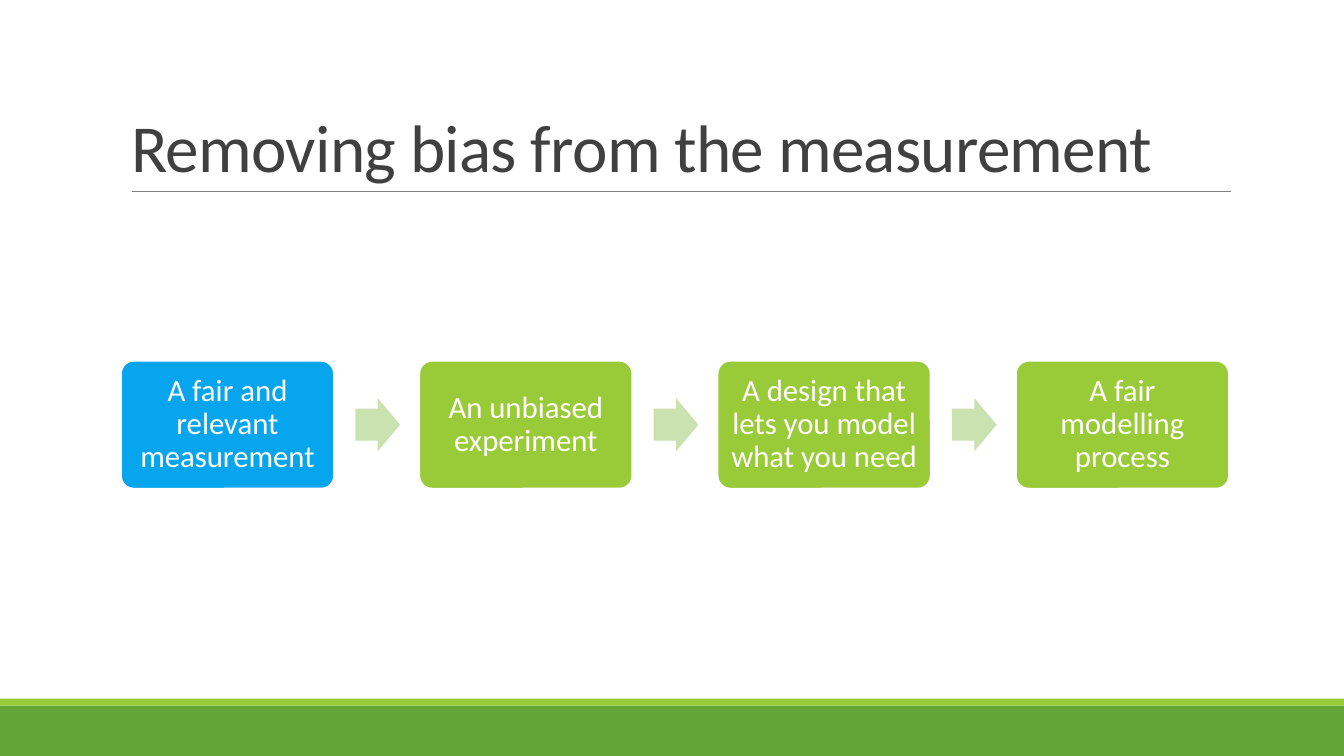
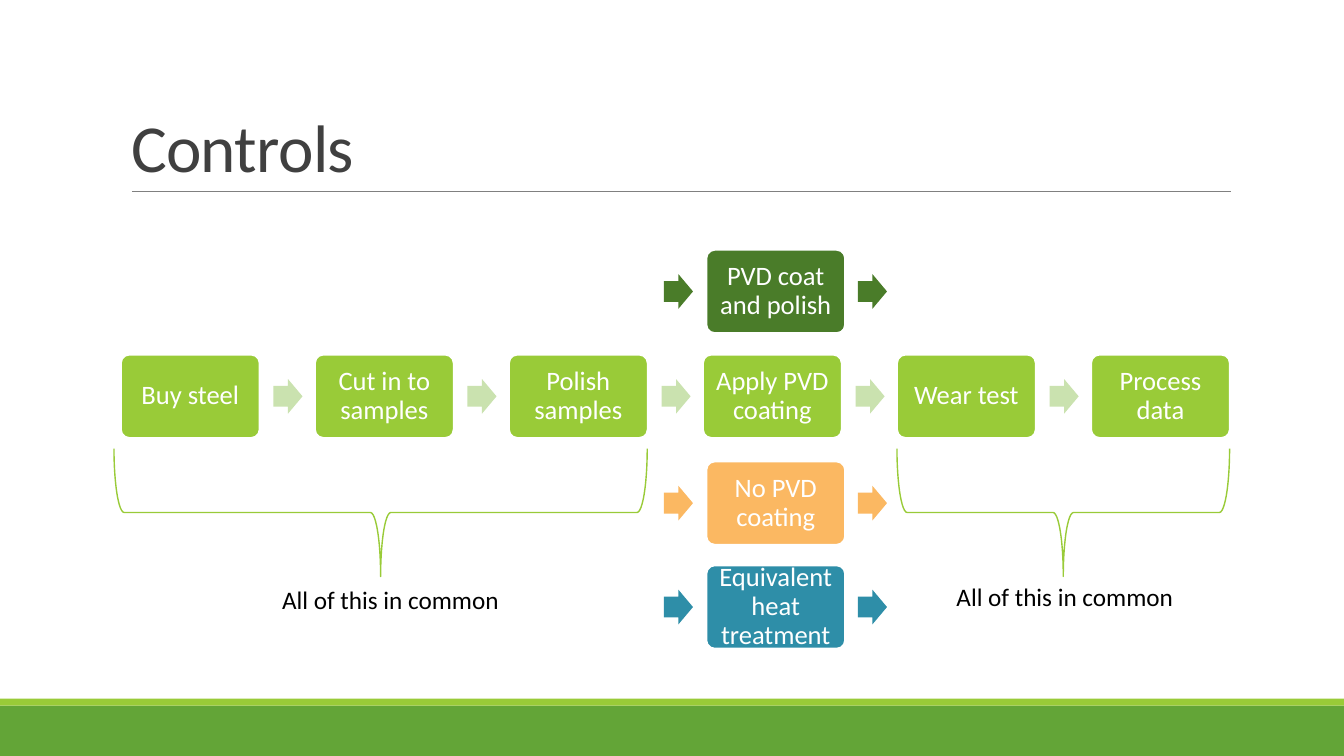
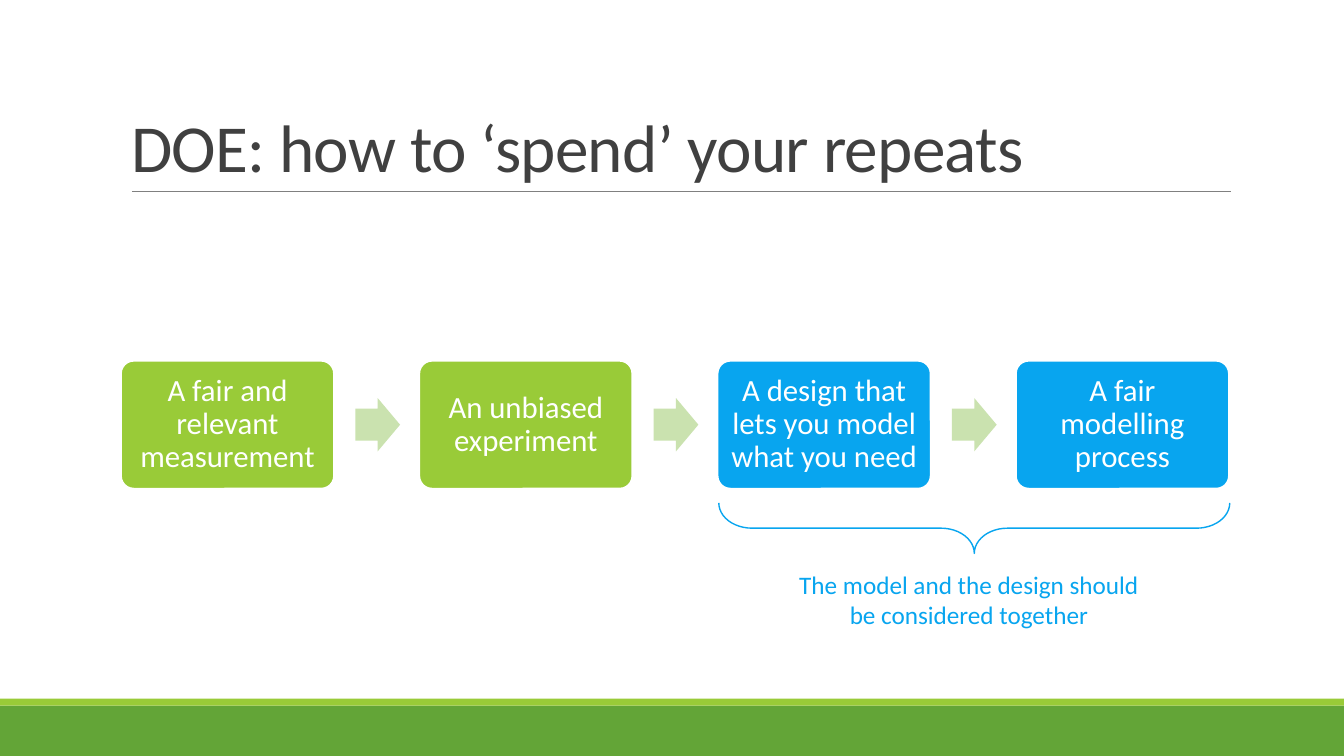
"""Build three slides on bias, controls and repeats in experiments."""
from lxml.etree import SubElement
from pptx import Presentation
from pptx.dml.color import RGBColor
from pptx.enum.shapes import MSO_CONNECTOR, MSO_SHAPE
from pptx.enum.text import MSO_ANCHOR, MSO_AUTO_SIZE, PP_ALIGN
from pptx.oxml.ns import qn
from pptx.util import Pt

FONT = "Calibri"
COLORS = {
    "band": "63A537", "green": "99CB38", "pale": "CAE2AF", "blue": "08A5EF",
    "dark": "4A7C29", "orange": "FBB862", "teal": "2E8EA8", "title": "404040",
    "rule": "808080", "white": "FFFFFF", "black": "000000",
}
LEFT, CENTER = PP_ALIGN.LEFT, PP_ALIGN.CENTER
FLOW_LEFT = 86.4
PITCH, HEIGHT, ARROW_START, ARROW_WIDTH, ARROW_HEIGHT = 1.4, 0.6, 1.1, 0.21, 0.25

STAGES = ["A fair and relevant measurement", "An unbiased experiment",
          "A design that lets you model what you need", "A fair modelling process"]
STEPS = ["Buy steel", "Cut in to samples", "Polish samples",
         "Apply PVD coating", "Wear test", "Process data"]
STAGE_STYLE = {"middle": 303.4, "width": 152.2, "size": 22}
STEP_STYLE = {"middle": 283.1, "width": 99, "size": 19}
VARIANT_LEFT, VARIANT_ARROW_LEFT = 504.6, 474.2
COMMON = [("All of this in common", LEFT)]

SLIDES = [
    {"title": "Removing bias from the measurement",
     "flow": STAGES, "style": STAGE_STYLE, "highlighted": [0]},
    {"title": "Controls", "flow": STEPS, "style": STEP_STYLE,
     "variants": [("PVD coat and polish", "dark", 208.2),
                  ("No PVD coating", "orange", 359.4),
                  ("Equivalent heat treatment", "teal", 433.6)],
     "braces": [((81.4, 320.4, 380.9, 91.4), 0.08, "green"),
                ((640.7, 320.4, 237.6, 91.4), 0.08, "green")],
     "labels": [((194.4, 414, 171.4, 28.8), COMMON, "black"),
                ((676.1, 411.8, 171.4, 28.8), COMMON, "black")]},
    {"title": "DOE: how to ‘spend’ your repeats",
     "flow": STAGES, "style": STAGE_STYLE, "highlighted": [2, 3],
     "braces": [((513.4, 359.3, 365, 36), 0.66, "blue")],
     "labels": [((563.8, 403.2, 264.2, 51.1),
                 [("The model and the design should", LEFT),
                  ("be considered together", CENTER)], "blue")]},
]


def color(name):
    return RGBColor.from_string(COLORS[name])


def add_run(paragraph, text, size, color_name):
    run = paragraph.add_run()
    run.text = text
    run.font.name = FONT
    run.font.size = Pt(size)
    run.font.color.rgb = color(color_name)
    return run


def add_shape(slide, kind, place, fill=None, line=None, line_width=1, adjustments=()):
    shape = slide.shapes.add_shape(kind, *map(Pt, place))
    shape.shadow.inherit = False
    for index, value in enumerate(adjustments):
        shape.adjustments[index] = value
    if fill:
        shape.fill.solid()
        shape.fill.fore_color.rgb = color(fill)
    else:
        shape.fill.background()
    if line:
        shape.line.color.rgb = color(line)
        shape.line.width = Pt(line_width)
    else:
        shape.line.fill.background()
    return shape


def add_titled_slide(presentation, text):
    slide = presentation.slides.add_slide(presentation.slide_layouts[5])
    add_shape(slide, MSO_SHAPE.RECTANGLE, (0, 504, 960, 36), "band")
    add_shape(slide, MSO_SHAPE.RECTANGLE, (0, 499, 960, 5), "green")
    rule = slide.shapes.add_connector(
        MSO_CONNECTOR.STRAIGHT, Pt(94.3), Pt(136.6), Pt(879), Pt(136.6))
    rule.line.color.rgb = color("rule")
    rule.line.width = Pt(0.5)
    SubElement(rule.line._get_or_add_ln().getparent(), qn("a:effectLst"))
    title = slide.shapes.title
    title.left, title.top, title.width, title.height = map(Pt, (86.4, 22.3, 792, 114.5))
    frame = title.text_frame
    frame.auto_size = MSO_AUTO_SIZE.NONE
    frame.word_wrap = True
    frame.vertical_anchor = MSO_ANCHOR.BOTTOM
    paragraph = frame.paragraphs[0]
    paragraph.alignment = LEFT
    paragraph.line_spacing = 0.85
    run = add_run(paragraph, text, 48, "title")
    run.font._element.set("spc", "-50")
    return slide


def add_box(slide, text, left, middle, width, size, fill):
    height = HEIGHT * width
    box = add_shape(slide, MSO_SHAPE.ROUNDED_RECTANGLE,
                    (left, middle - height / 2, width, height),
                    fill, "white", 1.25, [0.1])
    frame = box.text_frame
    frame.word_wrap = True
    frame.vertical_anchor = MSO_ANCHOR.MIDDLE
    frame.margin_left = frame.margin_right = Pt(0.3 * size)
    frame.margin_top = frame.margin_bottom = Pt(0.3 * size)
    paragraph = frame.paragraphs[0]
    paragraph.alignment = CENTER
    paragraph.line_spacing = 0.9
    add_run(paragraph, text, size, "white")


def add_arrow(slide, left, middle, box_width, fill):
    height = ARROW_HEIGHT * box_width
    add_shape(slide, MSO_SHAPE.RIGHT_ARROW,
              (left, middle - height / 2, ARROW_WIDTH * box_width, height),
              fill, adjustments=[0.6, 0.5])


def add_flow(slide, texts, style, highlighted):
    middle, width = style["middle"], style["width"]
    for index, text in enumerate(texts):
        left = FLOW_LEFT + index * PITCH * width
        fill = "blue" if index in highlighted else "green"
        add_box(slide, text, left, fill=fill, **style)
        if index < len(texts) - 1:
            add_arrow(slide, left + ARROW_START * width, middle, width, "pale")


def add_variant(slide, text, fill, middle):
    width = STEP_STYLE["width"]
    add_box(slide, text, VARIANT_LEFT, middle, width, STEP_STYLE["size"], fill)
    for index in range(2):
        add_arrow(slide, VARIANT_ARROW_LEFT + index * PITCH * width, middle, width, fill)


def add_brace(slide, place, curve, line):
    left, top, width, height = place
    shift = (width - height) / 2
    brace = add_shape(slide, MSO_SHAPE.RIGHT_BRACE,
                      (left + shift, top - shift, height, width),
                      line=line, adjustments=[curve, 0.5])
    brace.rotation = 90


def add_label(slide, place, lines, color_name):
    frame = slide.shapes.add_textbox(*map(Pt, place)).text_frame
    frame.word_wrap = False
    frame.auto_size = MSO_AUTO_SIZE.SHAPE_TO_FIT_TEXT
    for index, (text, alignment) in enumerate(lines):
        paragraph = frame.add_paragraph() if index else frame.paragraphs[0]
        paragraph.alignment = alignment
        add_run(paragraph, text, 18, color_name)


def main():
    presentation = Presentation()
    presentation.slide_width, presentation.slide_height = Pt(960), Pt(540)
    for content in SLIDES:
        slide = add_titled_slide(presentation, content["title"])
        add_flow(slide, content["flow"], content["style"], content.get("highlighted", []))
        for variant in content.get("variants", []):
            add_variant(slide, *variant)
        for brace in content.get("braces", []):
            add_brace(slide, *brace)
        for label in content.get("labels", []):
            add_label(slide, *label)
    presentation.save("out.pptx")


if __name__ == "__main__":
    main()
